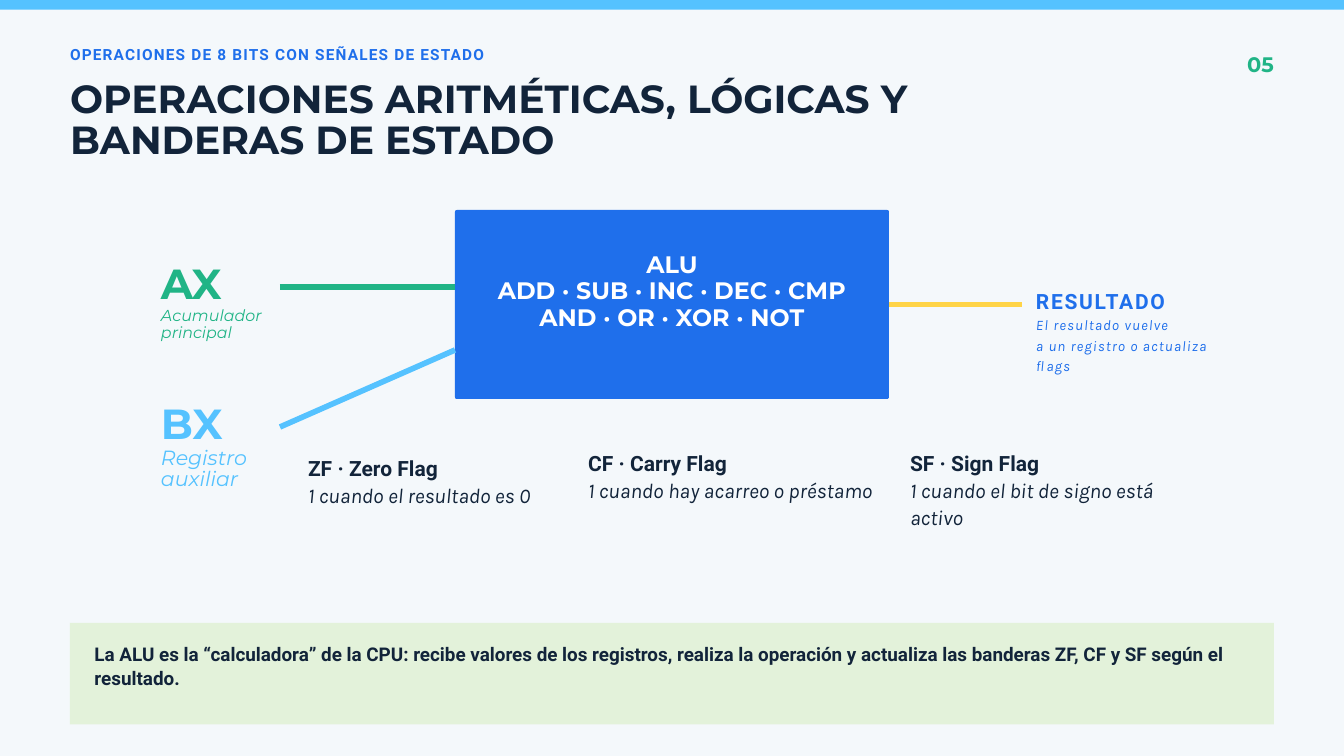
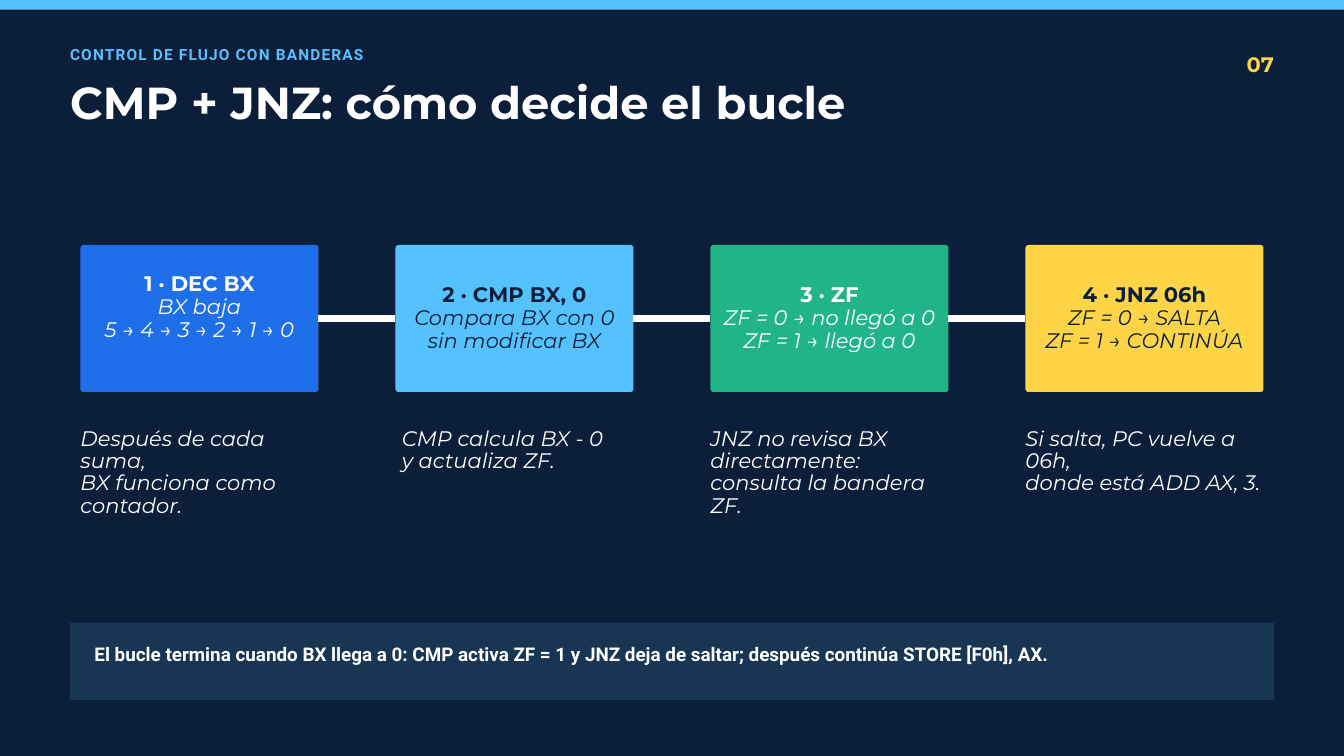
from dataclasses import dataclass, field, replace

from lxml.etree import SubElement
from pptx import Presentation
from pptx.dml.color import RGBColor
from pptx.enum.shapes import MSO_CONNECTOR as CONN, MSO_SHAPE as SHAPE
from pptx.enum.text import MSO_ANCHOR as ANCHOR, MSO_AUTO_SIZE as AUTO, PP_ALIGN as ALIGN
from pptx.oxml.ns import qn
from pptx.util import Pt

EMU_PER_PX = 9525
TITLE_ONLY = 5


@dataclass(frozen=True)
class Type:
    """A text style: size and leading in points, face and letter spacing."""
    size: float
    leading: float
    face: str = "Montserrat"
    bold: bool = False
    italic: bool = False
    spacing: int = 0


@dataclass(frozen=True)
class Theme:
    """Colours and type styles of the deck."""
    paper: str = "F4F8FB"
    navy: str = "0B1F3A"
    ink: str = "12243A"
    white: str = "FFFFFF"
    blue: str = "1F6FEB"
    sky: str = "55C2FF"
    green: str = "20B486"
    yellow: str = "FFD447"
    mint: str = "E3F2DA"
    slate: str = "183654"
    kicker: Type = Type(16.5, 23.1, "Roboto", bold=True, spacing=130)
    title: Type = Type(48, 50.4, bold=True)
    long_title: Type = Type(42, 44.1, bold=True)
    number: Type = Type(22.5, 23.6, bold=True)
    callout: Type = Type(20.2, 26.3, "Roboto", bold=True)
    alu: Type = Type(25.5, 28.1, bold=True)
    register: Type = Type(45, 47.2, bold=True)
    register_note: Type = Type(22, 23.1, italic=True)
    result: Type = Type(22.5, 31.5, "Roboto", bold=True, spacing=180)
    result_note: Type = Type(15.5, 21.7, "Karla", italic=True, spacing=120)
    flag: Type = Type(22.5, 29.2, "Roboto", bold=True)
    flag_note: Type = Type(22.5, 29.2, "Karla", italic=True)
    step: Type = Type(22.5, 24.8, bold=True)
    step_note: Type = Type(22.5, 24.8, italic=True)
    caption: Type = Type(22.5, 23.6, italic=True)


T = Theme()


@dataclass(frozen=True)
class Look:
    """Colours that change between the light and the dark slide."""
    back: str
    kicker: str
    title: str
    number: str
    callout: str


LIGHT = Look(T.paper, T.blue, T.ink, T.green, T.mint)
DARK = Look(T.navy, T.sky, T.white, T.yellow, T.slate)


def px(*values):
    """Turn pixels into EMU."""
    return [v * EMU_PER_PX for v in values]


def rgb(color):
    """Turn a hex string into a colour."""
    return RGBColor.from_string(color)


def write(sp, lines, color, align=ALIGN.LEFT, anchor=ANCHOR.TOP, insets=(0, 0, 0, 0)):
    """Fill a shape with (text, type) paragraphs in one colour."""
    tf = sp.text_frame
    tf.word_wrap, tf.auto_size, tf.vertical_anchor = True, AUTO.NONE, anchor
    tf.margin_left, tf.margin_top, tf.margin_right, tf.margin_bottom = px(*insets)
    for i, (text, style) in enumerate(lines):
        p = tf.add_paragraph() if i else tf.paragraphs[0]
        p.text, p.alignment = text, align
        p.line_spacing, p.space_before = Pt(style.leading), Pt(0)
        f = p.font
        f.size, f.name, f.bold, f.italic = Pt(style.size), style.face, style.bold, style.italic
        f.color.rgb = rgb(color)
        if style.spacing:
            p.runs[0]._r.get_or_add_rPr().set("spc", str(style.spacing))


def label(slide, box, lines, color, align=ALIGN.LEFT):
    """Add a plain text box."""
    write(slide.shapes.add_textbox(*px(*box)), lines, color, align)


def panel(slide, box, color, radius=0):
    """Add a filled rectangle, rounded when a radius is given."""
    kind = SHAPE.ROUNDED_RECTANGLE if radius else SHAPE.RECTANGLE
    sp = slide.shapes.add_shape(kind, *px(*box))
    if radius:
        sp.adjustments[0] = round(radius / min(box[2:]), 2)
    sp.shadow.inherit = False
    sp.fill.solid()
    sp.fill.fore_color.rgb = rgb(color)
    sp.line.fill.background()
    return sp


def card(slide, box, fill, color, lines, radius, lift=0):
    """Add a rounded block with centred text, raised by a deeper bottom inset."""
    sp = panel(slide, box, fill, radius)
    write(sp, lines, color, ALIGN.CENTER, ANCHOR.MIDDLE, (6, 6, 6, 6 + lift))
    return sp


def link(slide, start, end, color, width, source=None, target=None):
    """Draw a straight line, joined to a source's right or a target's left side."""
    c = slide.shapes.add_connector(CONN.STRAIGHT, *px(*start, *end))
    if source:
        c.begin_connect(source, 3)
    if target:
        c.end_connect(target, 1)
    c.line.color.rgb, c.line.width = rgb(color), Pt(width)
    SubElement(c._element.spPr, qn("a:effectLst"))


def base_slide(prs, look, kicker, title, title_type, title_box, number):
    """Start a slide with background, top band, kicker, title and number."""
    slide = prs.slides.add_slide(prs.slide_layouts[TITLE_ONLY])
    slide.background.fill.solid()
    slide.background.fill.fore_color.rgb = rgb(look.back)
    panel(slide, (0, 0, 1920, 14), T.sky)
    label(slide, (100, 60, 900, 30), [(kicker, T.kicker)], look.kicker)
    sp = slide.shapes.title
    sp.left, sp.top, sp.width, sp.height = px(*title_box)
    write(sp, [(title, title_type)], look.title)
    label(slide, (1740, 78, 80, 33), [(number, T.number)], look.number, ALIGN.RIGHT)
    return slide


def callout(slide, look, text, height):
    """Add the closing band with its bold remark."""
    sp = panel(slide, (100, 890, 1720, height), look.callout)
    write(sp, [(text, T.callout)], look.title, insets=(35, 25, 35, 0))


def alu_slide(prs):
    """Build the diagram of the ALU, its registers and its flags."""
    slide = base_slide(prs, LIGHT, "OPERACIONES DE 8 BITS CON SEÑALES DE ESTADO",
                       "OPERACIONES ARITMÉTICAS, LÓGICAS Y BANDERAS DE ESTADO",
                       T.long_title, (100, 114, 1540, 118), "05")
    operations = ("ALU", "ADD · SUB · INC · DEC · CMP", "AND · OR · XOR · NOT")
    alu = card(slide, (650, 300, 620, 270), T.blue, T.white,
               [(text, T.alu) for text in operations], radius=2, lift=37)
    link(slide, (400, 410), (650, 410), T.green, 6)
    link(slide, (400, 610), (650, 500), T.sky, 6)
    link(slide, (1270, 435), (1460, 435), T.yellow, 6, source=alu)

    small_note = replace(T.register_note, size=17, leading=17.9)
    label(slide, (230, 377, 180, 174),
          [("AX", T.register), ("Acumulador principal", small_note)], T.green)
    label(slide, (230, 577, 180, 188),
          [("BX", T.register), ("Registro auxiliar", T.register_note)], T.sky)
    label(slide, (1480, 406, 300, 153),
          [("RESULTADO", T.result), ("El resultado vuelve", T.result_note),
           ("a un registro o actualiza flags", T.result_note)], T.blue)

    flags = [(440, 648, "ZF · Zero Flag", "1 cuando el resultado es 0"),
             (840, 640, "CF · Carry Flag", "1 cuando hay acarreo o préstamo"),
             (1300, 640, "SF · Sign Flag", "1 cuando el bit de signo está activo")]
    for x, y, name, meaning in flags:
        label(slide, (x, y, 430, 116), [(name, T.flag), (meaning, T.flag_note)], T.ink)
    callout(slide, LIGHT, "La ALU es la “calculadora” de la CPU: recibe valores de los "
            "registros, realiza la operación y actualiza las banderas ZF, CF y SF "
            "según el resultado.", 145)


@dataclass(frozen=True)
class Step:
    """One block of the loop, with the caption under it."""
    fill: str
    color: str
    name: str
    notes: tuple
    caption: tuple
    lift: int = 0
    indent: int = 0


STEPS = [
    Step(T.blue, T.white, "1 · DEC BX", ("BX baja", "5 → 4 → 3 → 2 → 1 → 0"),
         ("Después de cada suma,", "BX funciona como contador."), lift=33),
    Step(T.sky, T.navy, "2 · CMP BX, 0", ("Compara BX con 0", "sin modificar BX"),
         ("CMP calcula BX - 0", "y actualiza ZF."), indent=9),
    Step(T.green, T.white, "3 · ZF", ("ZF = 0 → no llegó a 0", "ZF = 1 → llegó a 0"),
         ("JNZ no revisa BX directamente:", "consulta la bandera ZF.")),
    Step(T.yellow, T.navy, "4 · JNZ 06h", ("ZF = 0 → SALTA", "ZF = 1 → CONTINÚA"),
         ("Si salta, PC vuelve a 06h,", "donde está ADD AX, 3.")),
]


def loop_slide(prs):
    """Build the chain of steps that decides the loop."""
    slide = base_slide(prs, DARK, "CONTROL DE FLUJO CON BANDERAS",
                       "CMP + JNZ: cómo decide el bucle",
                       T.title, (100, 116, 1540, 68), "07")
    left, top, width, height, pitch = 115, 350, 340, 210, 450
    middle = top + height // 2
    previous = None
    for i, step in enumerate(STEPS):
        x = left + i * pitch
        lines = [(step.name, T.step)] + [(note, T.step_note) for note in step.notes]
        block = card(slide, (x, top, width, height), step.fill, step.color, lines,
                     radius=4, lift=step.lift)
        if previous:
            link(slide, (x - pitch + width, middle), (x, middle), T.white, 6.75,
                 previous, block)
        label(slide, (x + step.indent, 613, width - step.indent, 126),
              [(text, T.caption) for text in step.caption], T.white)
        previous = block
    callout(slide, DARK, "El bucle termina cuando BX llega a 0: CMP activa ZF = 1 y JNZ "
            "deja de saltar; después continúa STORE [F0h], AX.", 110)


def main():
    """Build and save the deck."""
    prs = Presentation()
    prs.slide_width, prs.slide_height = px(1920, 1080)
    alu_slide(prs)
    loop_slide(prs)
    prs.save("out.pptx")


if __name__ == "__main__":
    main()
